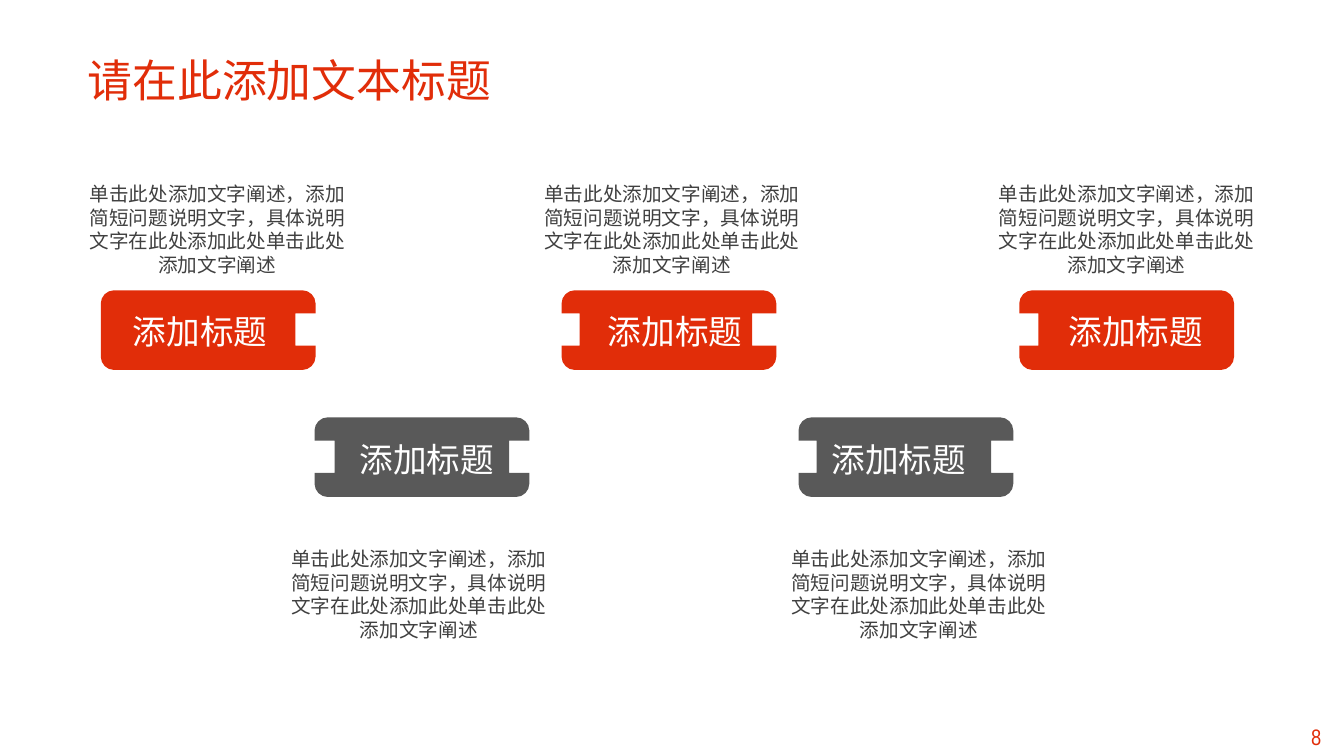
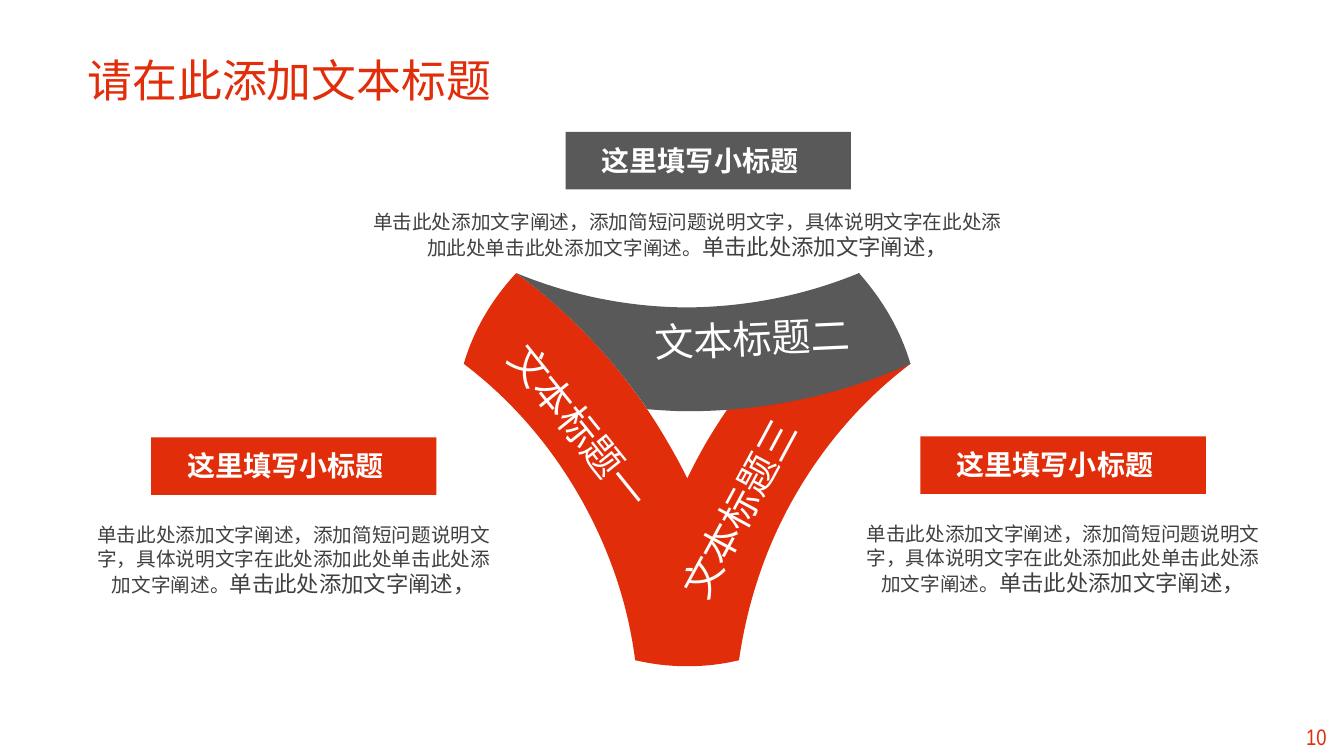
from pptx import Presentation
from pptx.dml.color import RGBColor
from pptx.enum.shapes import MSO_SHAPE
from pptx.enum.text import MSO_ANCHOR, MSO_AUTO_SIZE, PP_ALIGN
from pptx.oxml.ns import qn
from pptx.util import Emu, Pt

LEFT, CENTER, JUSTIFY = PP_ALIGN.LEFT, PP_ALIGN.CENTER, PP_ALIGN.JUSTIFY
TOP = MSO_ANCHOR.TOP
GROW, FIXED = MSO_AUTO_SIZE.SHAPE_TO_FIT_TEXT, MSO_AUTO_SIZE.NONE
RECTANGLE = MSO_SHAPE.RECTANGLE

PX = 9144  # 100 px to the inch
SLIDE_SIZE = (1333, 750)
COLORS = {"red": "E12D09", "gray": "595959", "body": "404040", "white": "FFFFFF"}
CJK_FONT = "Noto Sans CJK SC"

TITLE = "请在此添加文本标题"
DESCRIPTION = "单击此处添加文字阐述，添加简短问题说明文字，具体说明文字在此处添加此处单击此处添加文字阐述"
CAPTION = [(DESCRIPTION + "。", 14), ("单击此处添加文字阐述，", 16)]

# Puzzle tiles
TILE_LABEL = "添加标题"
TILE_WIDTH, TILE_HEIGHT = 213, 79
TILE_RADIUS, CORNER_PULL = 13, 6  # pull: distance of a curve control from the corner
NOTCH_TOP, NOTCH_BOTTOM = 23, 55
ROWS = {
    "upper": {"tile_top": 288, "description_top": 176, "color": "red"},
    "lower": {"tile_top": 414, "description_top": 538, "color": "gray"},
}
# row, tile left, left notch depth, right notch depth, label left, description left
TILES = [
    ("upper", 100, 0, 20, 101, 74),
    ("lower", 312, 20, 20, 326, 274),
    ("upper", 557, 18, 24, 572, 525),
    ("lower", 792, 18, 22, 794, 770),
    ("upper", 1011, 19, 0, 1029, 976),
]

# Ribbons: start point, then lines (x, y) or curves (two controls and an end)
RIBBONS = [
    ("red", (663, 440), [
        (624, 372, 572, 315, 512, 271), (488, 297, 470, 327, 460, 361),
        (505, 395, 544, 439, 574, 491), (604, 543, 623, 599, 630, 655),
        (733, 655), (725, 581, 703, 508, 663, 440),
    ]),
    ("red", (852, 271), [
        (792, 315, 740, 372, 700, 440), (661, 508, 638, 581, 630, 655),
        (647, 659, 664, 661, 682, 661), (699, 661, 717, 659, 733, 655),
        (741, 599, 759, 543, 789, 491), (819, 439, 858, 395, 903, 361),
    ]),
    ("gray", (852, 271), [
        (801, 292, 745, 304, 686, 305), (676, 305),
        (618, 304, 563, 292, 512, 271), (562, 308, 606, 353, 642, 406),
        (655, 407, 668, 408, 682, 408), (761, 408, 836, 391, 903, 361),
        (893, 327, 875, 297, 852, 271),
    ]),
]
RIBBON_LABELS = [
    ("文本标题一", 444, 394, 51.2),
    ("文本标题二", 615, 307, 357.5),
    ("文本标题三", 602, 476, 298.3),
]
HEADING = "这里填写小标题"
# heading left, heading top, color, caption left, caption width
CALLOUTS = [
    (150, 434, "red", 76, 431),
    (561, 131, "gray", 351, 662),
    (913, 433, "red", 839, 431),
]
CAPTION_OFFSET = {"red": 85, "gray": 77}


def px(value):
    return Emu(round(value * PX))


def rgb(name):
    return RGBColor.from_string(COLORS[name])


def paint(shape, color):
    shape.shadow.inherit = False
    shape.fill.solid()
    shape.fill.fore_color.rgb = rgb(color)
    shape.line.fill.background()


def write_text(shape, runs, size=14, color="body", font=CJK_FONT, bold=False,
               align=CENTER, spacing=None, insets=(10, 5, 10, 5), fit=GROW):
    """Fill a shape with one paragraph; runs is a string or (text, size) pairs."""
    frame = shape.text_frame
    frame.word_wrap = True
    frame.auto_size = fit
    frame.vertical_anchor = TOP
    (frame.margin_left, frame.margin_top,
     frame.margin_right, frame.margin_bottom) = map(px, insets)
    paragraph = frame.paragraphs[0]
    paragraph.alignment = align
    paragraph.line_spacing = spacing
    for text, run_size in [(runs, size)] if isinstance(runs, str) else runs:
        run = paragraph.add_run()
        run.text = text
        run.font.size = Pt(run_size)
        run.font.name = font
        run.font.bold = bold
        run.font.color.rgb = rgb(color)
        east_asian = run.font._element.makeelement(qn("a:ea"), {"typeface": CJK_FONT})
        run.font._element.find(qn("a:latin")).addnext(east_asian)


def add_text(slide, box, runs, rotation=0, **text_format):
    shape = slide.shapes.add_textbox(*map(px, box))
    shape.rotation = rotation
    write_text(shape, runs, **text_format)


def add_outline(slide, start, segments, color):
    """Draw a closed outline of lines (x, y) and curves (two controls and an end)."""
    points = [(px(segment[i]), px(segment[i + 1]))
              for segment in segments for i in range(0, len(segment), 2)]
    builder = slide.shapes.build_freeform(px(start[0]), px(start[1]))
    builder.add_line_segments(points, close=True)
    shape = builder.convert_to_shape()
    lines = iter(list(shape._element.iter(qn("a:lnTo"))))
    for segment in segments:
        first = next(lines)
        if len(segment) == 6:
            curve = first.makeelement(qn("a:cubicBezTo"), {})
            first.addprevious(curve)
            for line in (first, next(lines), next(lines)):
                curve.append(line[0])
                line.getparent().remove(line)
    paint(shape, color)


def tile_segments(left, top, left_notch, right_notch):
    """Rounded rectangle, clockwise from the top left, with a notch in either side."""
    right, bottom = left + TILE_WIDTH, top + TILE_HEIGHT
    inner_left, inner_right = left + TILE_RADIUS, right - TILE_RADIUS
    inner_top, inner_bottom = top + TILE_RADIUS, bottom - TILE_RADIUS
    near_left, near_right = left + CORNER_PULL, right - CORNER_PULL
    near_top, near_bottom = top + CORNER_PULL, bottom - CORNER_PULL

    def notch(side, depth):
        upper, lower = top + NOTCH_TOP, top + NOTCH_BOTTOM
        if not depth:
            return []
        return [(side, upper), (side + depth, upper), (side + depth, lower), (side, lower)]

    return (inner_left, top), [
        (inner_right, top),
        (near_right, top, right, near_top, right, inner_top),
        *notch(right, -right_notch),
        (right, inner_bottom),
        (right, near_bottom, near_right, bottom, inner_right, bottom),
        (inner_left, bottom),
        (near_left, bottom, left, near_bottom, left, inner_bottom),
        *reversed(notch(left, left_notch)),
        (left, inner_top),
        (left, near_top, near_left, top, inner_left, top),
    ]


def add_slide(presentation, number):
    """Add a slide with the shared title and page number."""
    slide = presentation.slides.add_slide(presentation.slide_layouts[6])
    add_text(slide, (77, 47, 511, 64), TITLE, size=32, color="red", align=LEFT)
    add_text(slide, (1278, 713, 55, 37), str(number), size=16, color="red",
             font="Arial Narrow")
    return slide


def build_tiles(presentation):
    slide = add_slide(presentation, 8)
    for row_name, left, left_notch, right_notch, label_left, description_left in TILES:
        row = ROWS[row_name]
        top = row["tile_top"]
        start, segments = tile_segments(left, top, left_notch, right_notch)
        add_outline(slide, start, segments, row["color"])
        add_text(slide, (label_left, top + 8, 195, 55), TILE_LABEL, size=24,
                 color="white", font="Calibri", spacing=1.2)
        add_text(slide, (description_left, row["description_top"], 283, 104), DESCRIPTION)


def build_ribbons(presentation):
    slide = add_slide(presentation, 10)
    for color, start, segments in RIBBONS:
        add_outline(slide, start, segments, color)
    for label, left, top, rotation in RIBBON_LABELS:
        add_text(slide, (left, top, 262, 57), label, rotation=rotation, size=28,
                 color="white")
    for left, top, color, caption_left, caption_width in CALLOUTS:
        heading = slide.shapes.add_shape(RECTANGLE, *map(px, (left, top, 283, 57)))
        paint(heading, color)
        write_text(heading, HEADING, size=20, color="white", bold=True, align=JUSTIFY,
                   spacing=Pt(20.5), insets=(36, 16, 36, 9), fit=FIXED)
        add_text(slide, (caption_left, top + CAPTION_OFFSET[color], caption_width, 82),
                 CAPTION, insets=(17, 0, 17, 0), fit=FIXED)


def main():
    presentation = Presentation()
    presentation.slide_width, presentation.slide_height = map(px, SLIDE_SIZE)
    build_tiles(presentation)
    build_ribbons(presentation)
    presentation.save("out.pptx")


if __name__ == "__main__":
    main()
